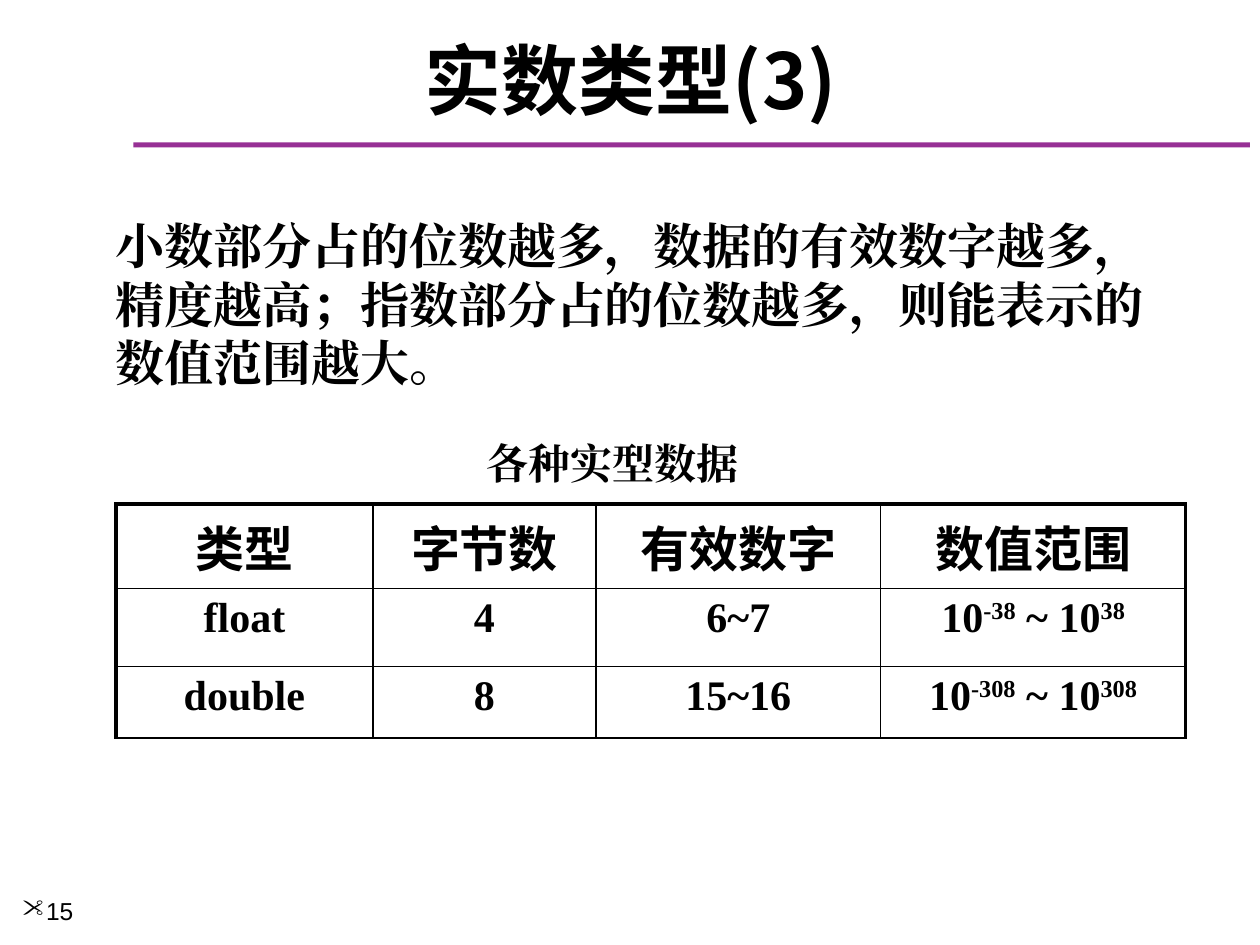
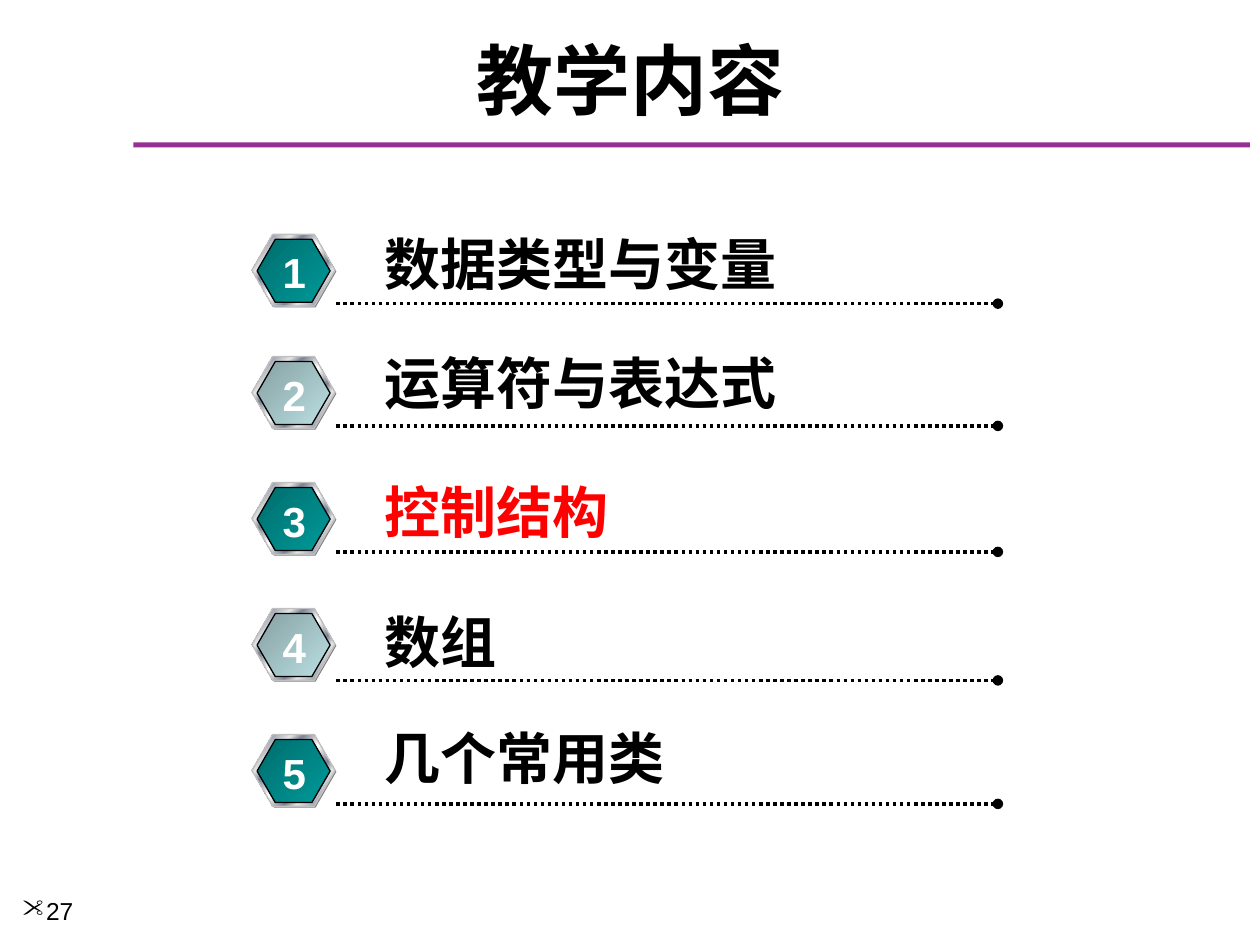
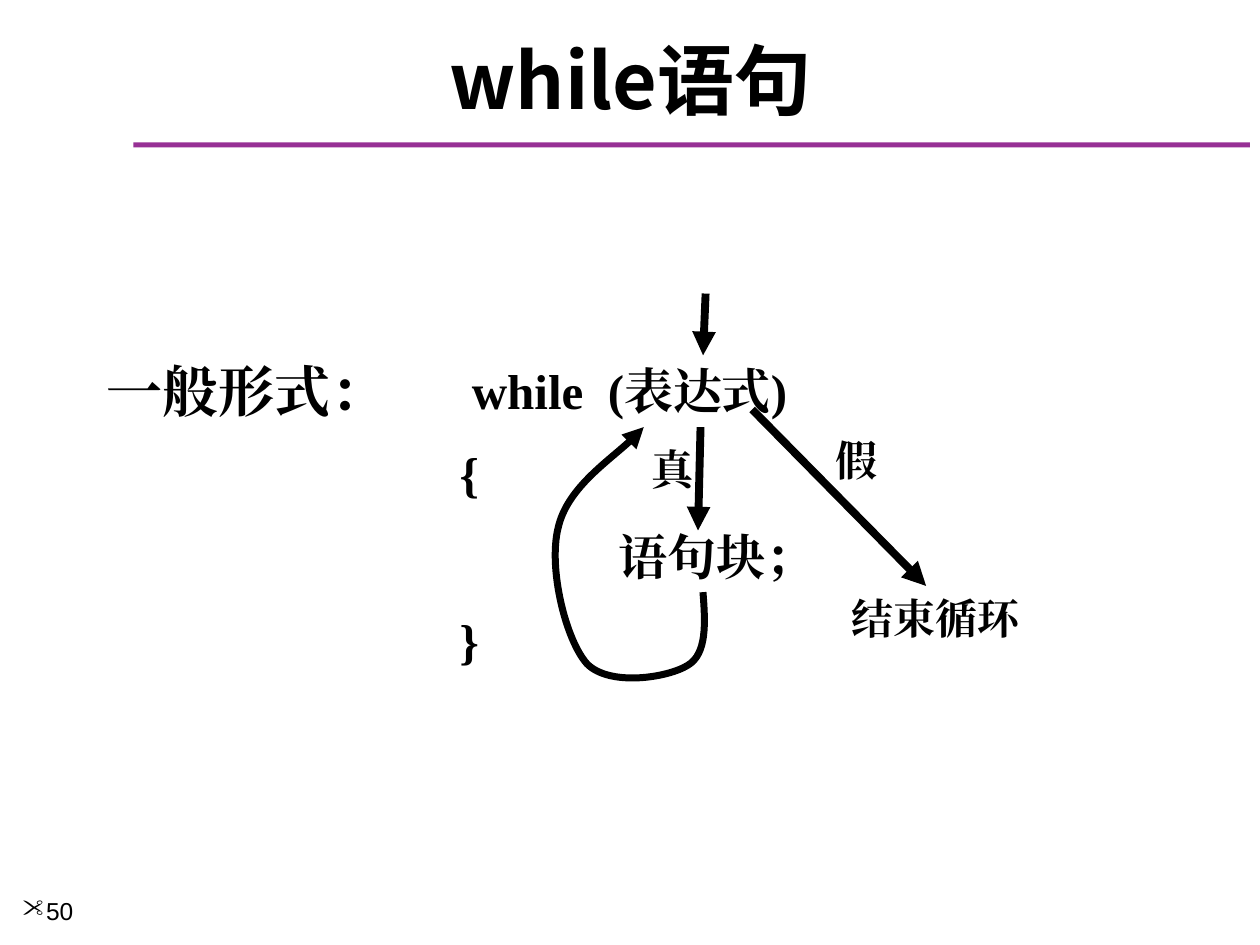
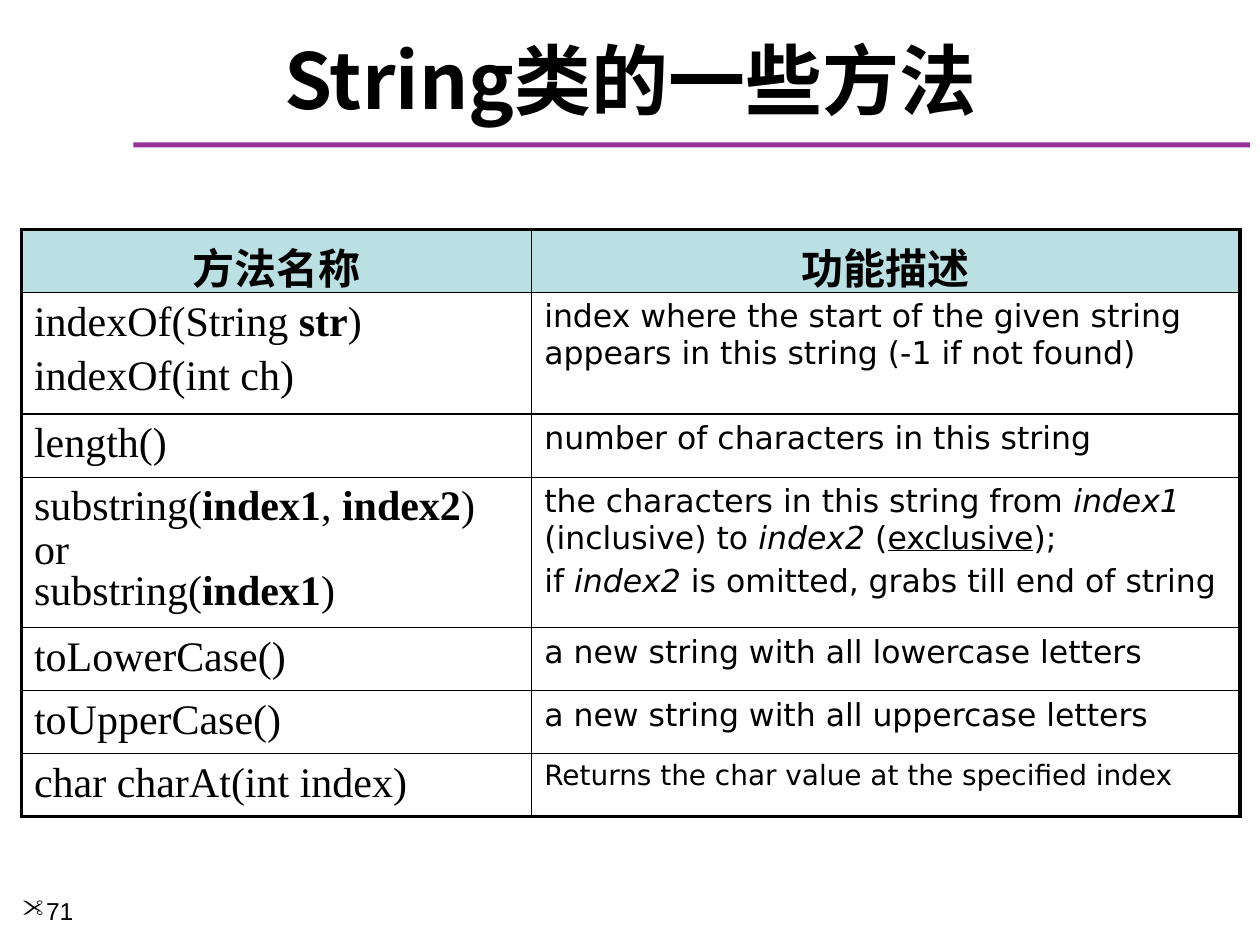
import lxml.etree
import pptx
import pptx.dml.color
import pptx.enum.shapes
import pptx.enum.text
import pptx.oxml.ns
import pptx.util

UNIT = 9144
BLACK, WHITE, RED, GREY = "000000", "FFFFFF", "FF0000", "808080"
PURPLE, PALE = "973095", "BBE0E3"
NOTO, TIMES, ARIAL, DEJA = "Noto Sans CJK SC", "Times New Roman", "Arial", "DejaVu Sans"
SILVER = list(zip(
    (0, 8, 26, 34, 46, 50, 54, 66, 74, 92, 100),
    ("E6E6E6", "7D8496", "E6E6E6", "7D8496", "E6E6E6", WHITE,
     "E6E6E6", "7D8496", "E6E6E6", "7D8496", "E6E6E6")))
TEALS = [[(0, "006D6D"), (100, "009999")], [(0, "86A0A2"), (100, PALE)]]
KIND = pptx.enum.shapes.MSO_SHAPE
MID = pptx.enum.text.PP_ALIGN.CENTER


def px(*sizes):
    return [size * UNIT for size in sizes]


def rgb(code):
    return pptx.dml.color.RGBColor.from_string(code)


def name(tag):
    return pptx.oxml.ns.qn("a:" + tag)


def add(parent, tag, **attrs):
    return lxml.etree.SubElement(parent, name(tag), attrs)


def write(frame, paras, size=24, font=TIMES, east=None, color=BLACK, bold=False,
          align=None, gap=0, line=None, tight=()):
    for num, para in enumerate(paras):
        block = frame.add_paragraph() if num else frame.paragraphs[0]
        block.alignment = align
        block.space_before = pptx.util.Pt(size * gap if num else 0)
        if num in tight:
            block.line_spacing = 0.7
        elif line:
            block.line_spacing = pptx.util.Pt(size * line)
        for part in [para] if isinstance(para, str) else para:
            words, look = (part, {}) if isinstance(part, str) else part
            for row, piece in enumerate(words.split("\n")):
                if row:
                    block.add_line_break()
                run = block.add_run()
                run.text = piece
                run.font.size = pptx.util.Pt(size)
                run.font.bold = look.get("bold", bold)
                run.font.italic = look.get("slant", False)
                run.font.underline = look.get("under", False)
                run.font.color.rgb = rgb(color)
                run.font.name = font
                props = run._r.get_or_add_rPr()
                add(props, "ea", typeface=east or font)
                if "lift" in look:
                    props.set("baseline", str(look["lift"] * 1000))


class Deck:
    def __init__(self):
        self.show = pptx.Presentation()
        self.show.slide_width, self.show.slide_height = px(1000, 750)
        self.plan = self.show.slide_layouts[5]
        self.slide = None

    def page(self, title, number):
        first = self.slide is None
        self.slide = self.show.slides.add_slide(self.plan)
        if first:
            bar = self.shape(KIND.RECTANGLE, 106, 113, 886, 4, PURPLE)
            self.plan.shapes.element.append(bar.element)
        head = self.slide.shapes.title
        head.left, head.top, head.width, head.height = px(17, 25, 967, 75)
        frame = head.text_frame
        frame.auto_size = pptx.enum.text.MSO_AUTO_SIZE.NONE
        frame.vertical_anchor = pptx.enum.text.MSO_ANCHOR.MIDDLE
        write(frame, [title], size=44, font=NOTO, bold=True, align=MID)
        foot = self.text(8, 706, 108, 44, [str(number)], wrap=True,
                         size=14, font=ARIAL, bold=False)
        props = foot.text_frame.paragraphs[0]._p.get_or_add_pPr()
        props.set("marL", "0")
        props.set("indent", "0")
        add(props, "buFont", typeface="Wingdings")
        add(props, "buChar", char='"')

    def text(self, x, y, w, h, paras, on=None, wrap=False, **look):
        box = (on or self.slide).shapes.add_textbox(*px(x, y, w, h))
        box.text_frame.word_wrap = wrap
        if not wrap:
            box.text_frame.auto_size = pptx.enum.text.MSO_AUTO_SIZE.SHAPE_TO_FIT_TEXT
        write(box.text_frame, paras, **{"bold": True, "line": 1.2, "gap": 0.5, **look})
        return box

    def shape(self, kind, x, y, w, h, fill, edge=None, on=None):
        form = (on or self.slide).shapes.add_shape(kind, *px(x, y, w, h))
        form.shadow.inherit = False
        if isinstance(fill, str):
            form.fill.solid()
            form.fill.fore_color.rgb = rgb(fill)
        else:
            form.fill.gradient()
            blend = form.element.spPr.find(name("gradFill"))
            blend.clear()
            stops = add(blend, "gsLst")
            for spot, code in fill:
                stop = add(stops, "gs", pos=str(spot * 1000))
                add(stop, "srgbClr", val=code)
            add(blend, "lin", ang="2700000", scaled="0")
        if edge:
            form.line.color.rgb = rgb(edge)
            form.line.width = pptx.util.Pt(0.75)
        else:
            form.line.fill.background()
        return form

    def stroke(self, form, width, tip, dash=None):
        form.line.color.rgb = rgb(BLACK)
        form.line.width = pptx.util.Pt(width)
        edge = form.element.spPr.find(name("ln"))
        if dash:
            add(edge, "prstDash", val=dash)
        add(edge, "tailEnd", type=tip)

    def line(self, x1, y1, x2, y2, width=4.5, tip="triangle", dash=None, on=None):
        link = (on or self.slide).shapes.add_connector(
            pptx.enum.shapes.MSO_CONNECTOR.STRAIGHT, *px(x1, y1, x2, y2))
        self.stroke(link, width, tip, dash)
        add(link.element.spPr, "effectLst")

    def curve(self, points, width):
        pen = self.slide.shapes.build_freeform(*points[0], scale=float(UNIT))
        pen.add_line_segments(points[1:], close=False)
        form = pen.convert_to_shape()
        form.shadow.inherit = False
        form.fill.background()
        self.stroke(form, width, "triangle")
        track = next(form.element.iter(name("path")))
        for num, leg in enumerate(track.findall(name("lnTo"))):
            if num % 3 == 0:
                bend = add(track, "cubicBezTo")
            bend.append(leg[0])
            track.remove(leg)

    def group(self):
        return self.slide.shapes.add_group_shape()

    def badge(self, number, x, y, fill):
        group = self.group()
        for dx, dy, w, h, paint, edge in (
                (1, 1, 66, 57, GREY, None),
                (0, 0, 66, 57, SILVER, "C0C0C0"),
                (4, 4, 58, 50, fill, BLACK)):
            form = self.shape(KIND.HEXAGON, x + dx, y + dy, w, h, paint, edge, group)
            form.adjustments[0] = 0.289
        self.text(x + 14, y + 5, 39, 50, [str(number)], on=group,
                  font=ARIAL, color=WHITE, align=MID)

    def table(self, x, y, cols, rows, cells, base=1, fill=None):
        grid = self.slide.shapes.add_table(
            len(rows), len(cols), *px(x, y, sum(cols), sum(rows))).table
        grid.first_row = grid.horz_banding = False
        for col, size in zip(grid.columns, cols):
            col.width = size * UNIT
        for row, size in zip(grid.rows, rows):
            row.height = size * UNIT
        for r, line in enumerate(cells):
            for c, (paras, look) in enumerate(line):
                cell = grid.cell(r, c)
                write(cell.text_frame, paras, gap=0.2, **look)
                props = cell._tc.get_or_add_tcPr()
                wide = {"lnL": 2.25 if c == 0 else 1,
                        "lnR": 2.25 if c == len(cols) - 1 else 1,
                        "lnT": 2.25 if r == 0 else 1,
                        "lnB": base if r == len(rows) - 1 else 1}
                for side, width in wide.items():
                    edge = add(props, side, w=str(pptx.util.Pt(width)))
                    add(add(edge, "solidFill"), "srgbClr", val=BLACK)
                if fill and r == 0:
                    cell.fill.solid()
                    cell.fill.fore_color.rgb = rgb(fill)
                else:
                    cell.fill.background()


def reals(deck):
    deck.page("实数类型(3)", 15)
    head = dict(size=28, font=NOTO, bold=True, align=MID)
    body = dict(bold=True, align=MID)

    def span(power):
        lift = {"lift": 30}
        return ["10", ("-" + power, lift), " ~ 10", (power, lift)]

    cells = [[([word], head) for word in ("类型", "字节数", "有效数字", "数值范围")]]
    for kind, count, digits, power in (("float", "4", "6~7", "38"),
                                       ("double", "8", "15~16", "308")):
        cells.append([([item], body) for item in (kind, count, digits, span(power))])
    deck.table(92, 400, (204, 177, 226, 242), (67, 62, 57), cells)
    deck.text(376, 342, 221, 50, ["各种实型数据"])
    deck.text(82, 166, 840, 150, [
        "小数部分占的位数越多，数据的有效数字越多，\n"
        "精度越高；指数部分占的位数越多，则能表示的\n数值范围越大。"], size=28)


def topics(deck):
    deck.page("教学内容", 27)
    items = (("数据类型与变量", 336, 177, 186, 241),
             ("运算符与表达式", 348, 272, 283, 338),
             ("控制结构", 200, 374, 383, 438),
             ("数组", 110, 477, 483, 540),
             ("几个常用类", 245, 569, 583, 638))
    for num, (word, wide, top, hexa, rule) in enumerate(items):
        deck.line(267, rule, 792, rule, 2, "oval", "sysDot")
        deck.text(295, top, wide, 64, [word], size=32, font=ARIAL,
                  color=RED if num == 2 else BLACK)
        deck.badge(num + 1, 200, hexa, TEALS[num % 2])


def loop(deck):
    deck.page("while语句", 50)
    deck.text(75, 278, 245, 64, ["一般形式："], size=32)
    deck.text(355, 281, 306, 269,
              [" while  (表达式)", "{", "             语句块；", "}"], size=28)
    deck.line(560, 233, 558, 282)
    false = deck.group()
    deck.line(597, 325, 735, 465, on=false)
    deck.text(653, 340, 54, 50, ["假"], on=false)
    deck.text(666, 465, 154, 50, ["结束循环"], on=false)
    true = deck.group()
    deck.text(507, 347, 54, 50, ["真"], on=true)
    deck.line(556, 339, 554, 421, on=true)
    deck.curve([(558, 470), (560, 495), (561, 519), (546, 528),
                (530, 538), (484, 545), (466, 527),
                (449, 508), (435, 451), (443, 419),
                (450, 388), (499, 354), (511, 339)], 4)


def strings(deck):
    deck.page("String类的一些方法", 71)
    head = dict(font=DEJA, east=NOTO, bold=True, align=MID)
    bold, slant = {"bold": True}, {"slant": True}
    one, two = ("index1", bold), ("index2", bold)
    pairs = (
        ([["indexOf(String ", ("str", bold), ")"], "indexOf(int ch)"],
         ["index where the start of the given string appears in this string (-1 if not found)"]),
        (["length()"], ["number of characters in this string"]),
        ([["substring(", one, ", ", two, ")"], "or", ["substring(", one, ")"]],
         [["the characters in this string from ", ("index1", slant), " (inclusive) to ",
           ("index2", slant), " (", ("exclusive", {"under": True}), ");"],
          ["if ", ("index2", slant), " is omitted, grabs till end of string"]]),
        (["toLowerCase()"], ["a new string with all lowercase letters"]),
        (["toUpperCase()"], ["a new string with all uppercase letters"]),
        (["char charAt(int index)"], ["Returns the char value at the specified index"]))
    cells = [[(["方法名称"], head), (["功能描述"], head)]]
    for left, right in pairs:
        size = 16 if right[0][0] == "R" else 18
        cells.append([(left, dict(tight=(1, 2) if len(left) == 3 else ())),
                      (right, dict(size=size, font=DEJA))])
    deck.table(17, 182, (405, 562), (40, 70, 40, 106, 40, 40, 40), cells, 2.25, PALE)


def main():
    deck = Deck()
    for build in (reals, topics, loop, strings):
        build(deck)
    deck.show.save("out.pptx")


if __name__ == "__main__":
    main()
